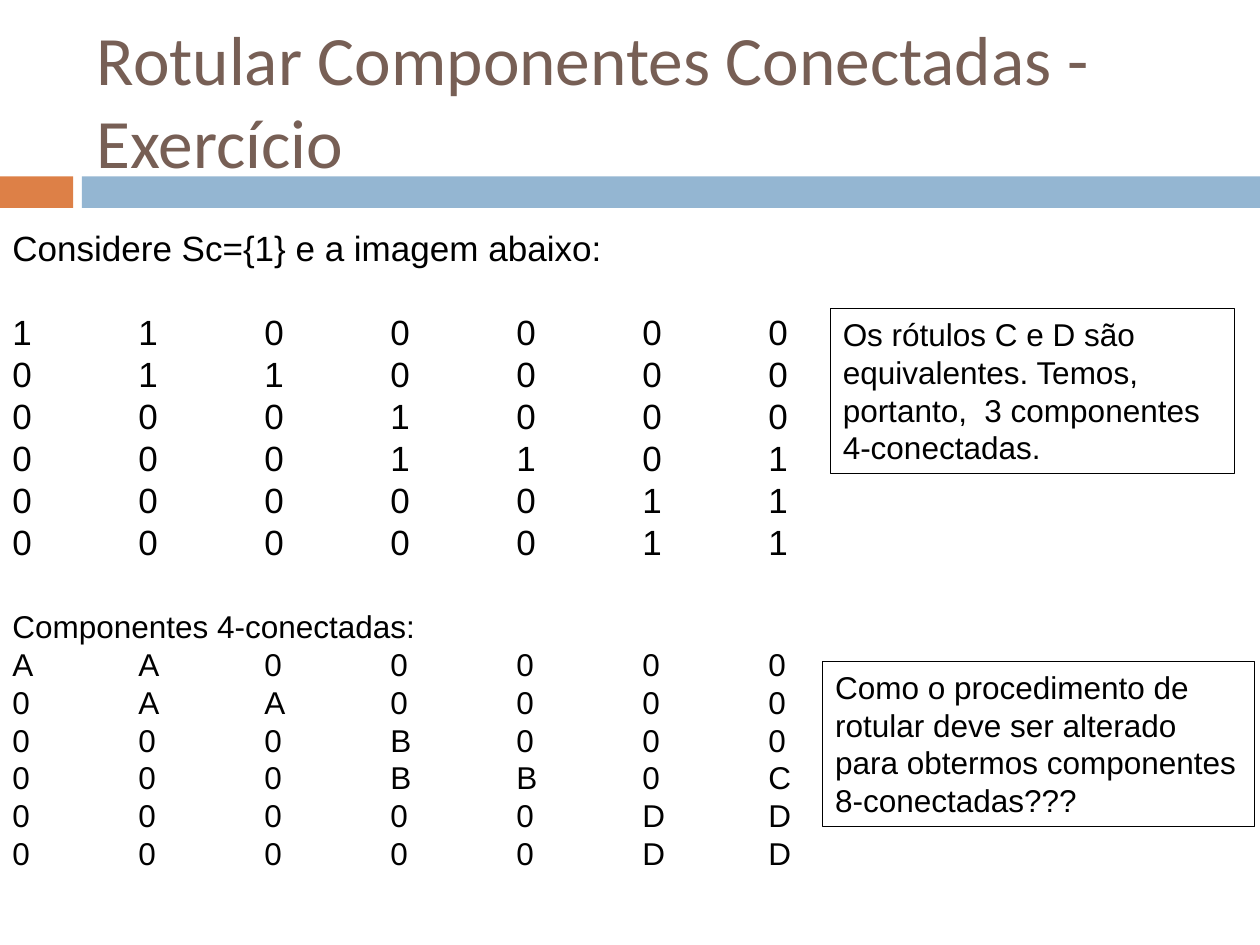
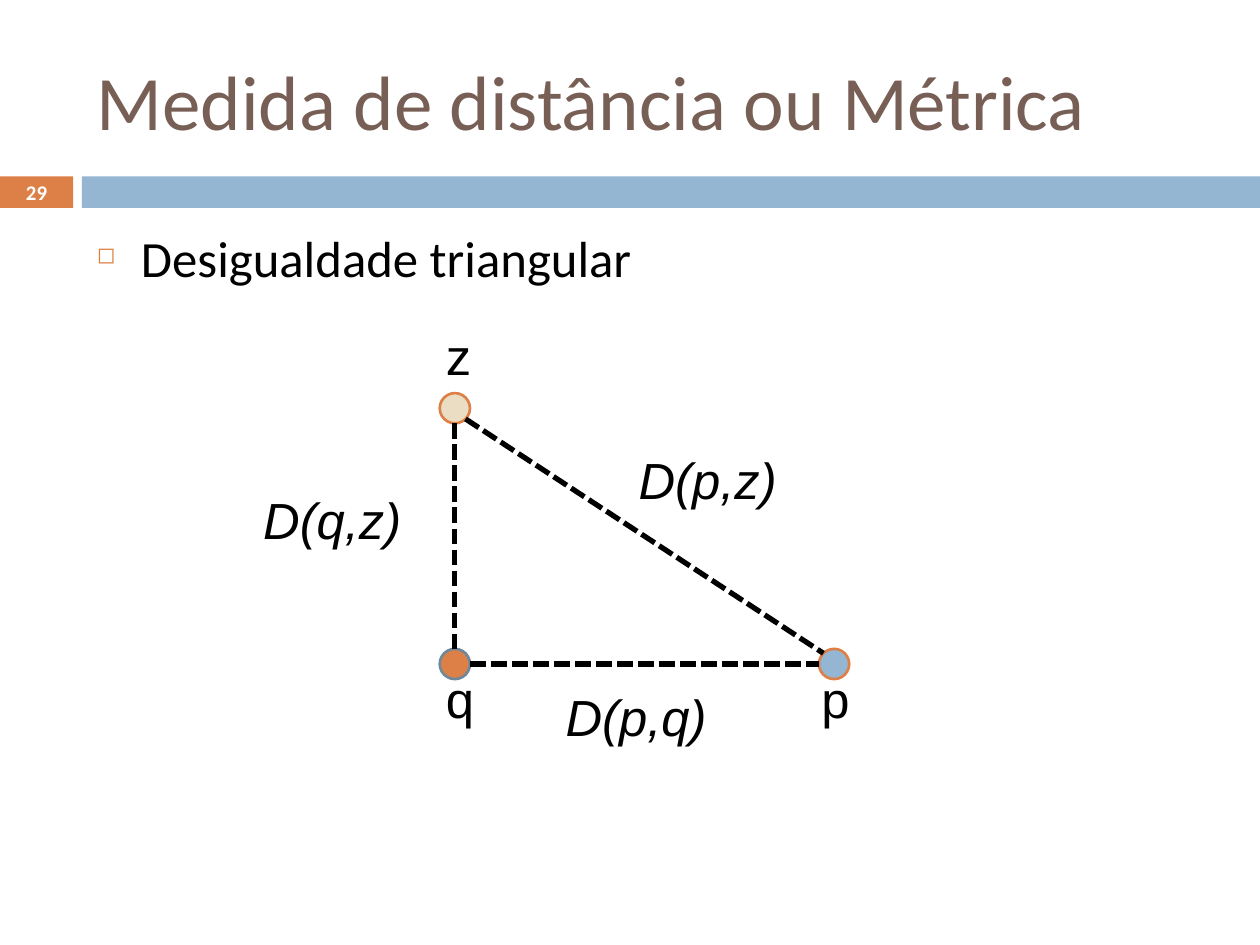
from lxml.etree import SubElement
from pptx import Presentation
from pptx.dml.color import RGBColor
from pptx.enum.dml import MSO_LINE
from pptx.enum.shapes import MSO_CONNECTOR, MSO_SHAPE
from pptx.enum.text import MSO_ANCHOR, PP_ALIGN
from pptx.oxml.ns import qn
from pptx.util import Inches, Pt

WIDTH, HEIGHT = 10, 7.5
COLORS = {"orange": "DD8047", "blue": "94B6D2", "brown": "775F55", "black": "000000",
          "white": "FFFFFF", "sand": "EBDDC3", "slate": "6D879B"}
TITLE_BOX = (0.67, 0.25, 8.92, 1.08)
BODY_BOX = (0.67, 1.75, 8.92, 4.92)
BAND_TOP, BAND_HEIGHT, TAB_WIDTH, BAND_LEFT = 1.4, 0.25, 0.58, 0.65
NODE_SIZE = 0.24
DIAGONAL = 0.71
ARIAL_LEADING = 1.2
COLUMN_WIDTH = 1

HEADINGS = {
    "exercise": ("Rotular Componentes Conectadas - Exercício", 39.6),
    "metric": ("Medida de distância ou Métrica", 44),
}
MATRICES = [
    {"heading": "Considere Sc={1} e a imagem abaixo:", "size": 20, "gap": 24,
     "box": (0, 1.75, 7.24, 3.13),
     "rows": ["1100000", "0110000", "0001000", "0001101", "0000011", "0000011"]},
    {"heading": "Componentes 4-conectadas:", "size": 18, "gap": 0,
     "box": (0, 4.77, 7.44, 2.52),
     "rows": ["AA00000", "0AA0000", "000B000", "000BB0C", "00000DD", "00000DD"]},
]
NOTES = [
    ("Os rótulos C e D são equivalentes. Temos, portanto,  3 componentes 4-conectadas.",
     (6.59, 2.45, 3.21, 1.31)),
    ("Como o procedimento de rotular deve ser alterado para obtermos componentes "
     "8-conectadas???", (6.53, 5.25, 3.43, 1.31)),
]
BULLET = "Desigualdade triangular"
PAGE_NUMBER = "29"
NODES = {
    "q": {"center": (3.61, 5.27), "fill": "orange", "line": "slate", "label": (3.44, 5.25)},
    "p": {"center": (6.62, 5.27), "fill": "blue", "line": "orange", "label": (6.42, 5.25)},
    "z": {"center": (3.61, 3.24), "fill": "sand", "line": "orange", "label": (3.44, 2.53)},
}
EDGES = [("q", "p", "D(p,q)", (4.39, 5.39)),
         ("z", "q", "D(q,z)", (1.99, 3.83)),
         ("z", "p", "D(p,z)", (4.97, 3.51))]


def rgb(name):
    return RGBColor.from_string(COLORS[name])


def inches(values):
    return [Inches(value) for value in values]


def write(shape, lines, size, font="Arial", color="black", anchor=MSO_ANCHOR.TOP,
          align=PP_ALIGN.LEFT, **extra):
    frame = shape.text_frame
    frame.word_wrap = True
    frame.vertical_anchor = anchor
    for index, line in enumerate(lines):
        paragraph = frame.paragraphs[0] if index == 0 else frame.add_paragraph()
        run = paragraph.add_run()
        run.text = line
        paragraph.alignment = align
        if font == "Arial":
            paragraph.line_spacing = Pt(round(size * ARIAL_LEADING, 1))
        for name, value in {"name": font, "size": Pt(size), **extra}.items():
            setattr(run.font, name, value)
        run.font.color.rgb = rgb(color)
    return frame


def add_text(slide, box, lines, size, **style):
    return write(slide.shapes.add_textbox(*inches(box)), lines, size, **style)


def add_preset(slide, kind, box, fill=None, line=None, weight=0.75):
    shape = slide.shapes.add_shape(kind, *inches(box))
    shape.shadow.inherit = False
    if fill:
        shape.fill.solid()
        shape.fill.fore_color.rgb = rgb(fill)
    else:
        shape.fill.background()
    if line:
        shape.line.color.rgb = rgb(line)
        shape.line.width = Pt(weight)
    else:
        shape.line.fill.background()
    return shape


def start_slide(presentation, heading):
    slide = presentation.slides.add_slide(presentation.slide_layouts[6])
    for left, width, fill in [(0, TAB_WIDTH, "orange"),
                              (BAND_LEFT, WIDTH - BAND_LEFT, "blue")]:
        add_preset(slide, MSO_SHAPE.RECTANGLE, (left, BAND_TOP, width, BAND_HEIGHT), fill)
    title, size = HEADINGS[heading]
    add_text(slide, TITLE_BOX, [title], size, font="Calibri", color="brown",
             anchor=MSO_ANCHOR.MIDDLE)
    return slide


def add_bullet(paragraph):
    properties = paragraph._p.get_or_add_pPr()
    properties.set("marL", str(Inches(0.35)))
    properties.set("indent", str(-Inches(0.35)))
    color = SubElement(properties, qn("a:buClr"))
    SubElement(color, qn("a:srgbClr"), val=COLORS["orange"])
    SubElement(properties, qn("a:buSzPct"), val="45000")
    SubElement(properties, qn("a:buChar"), char="◻")


def add_column_stops(paragraph, columns):
    stops = SubElement(paragraph._p.get_or_add_pPr(), qn("a:tabLst"))
    for column in range(1, columns):
        SubElement(stops, qn("a:tab"), pos=str(Inches(column * COLUMN_WIDTH)), algn="l")


def rim_point(center, target):
    signs = [(end > start) - (end < start) for start, end in zip(center, target)]
    reach = NODE_SIZE / 2 * (DIAGONAL if all(signs) else 1)
    return [value + sign * reach for value, sign in zip(center, signs)]


def add_edge(slide, start, end):
    points = rim_point(start, end) + rim_point(end, start)
    connector = slide.shapes.add_connector(MSO_CONNECTOR.STRAIGHT, *inches(points))
    connector.line.color.rgb = rgb("black")
    connector.line.width = Pt(3)
    connector.line.dash_style = MSO_LINE.SQUARE_DOT
    SubElement(connector._element.spPr, qn("a:effectLst"))


def build_exercise(presentation):
    slide = start_slide(presentation, "exercise")
    for matrix in MATRICES:
        rows = matrix["rows"]
        lines = [matrix["heading"]] + ["\t".join(row) for row in rows]
        frame = add_text(slide, matrix["box"], lines, matrix["size"])
        frame.paragraphs[1].space_before = Pt(matrix["gap"])
        for paragraph, row in zip(frame.paragraphs[1:], rows):
            add_column_stops(paragraph, len(row))
    for text, box in NOTES:
        note = add_preset(slide, MSO_SHAPE.RECTANGLE, box, line="black")
        write(note, [text], 18)


def build_metric(presentation):
    slide = start_slide(presentation, "metric")
    body = add_text(slide, BODY_BOX, [BULLET], 29, font="Calibri")
    add_bullet(body.paragraphs[0])
    for name, node in NODES.items():
        left, top = [value - NODE_SIZE / 2 for value in node["center"]]
        add_preset(slide, MSO_SHAPE.OVAL, (left, top, NODE_SIZE, NODE_SIZE),
                   node["fill"], node["line"], 1.5)
        add_text(slide, (*node["label"], 0.54, 0.59), [name], 29)
    for start, end, label, corner in EDGES:
        add_edge(slide, NODES[start]["center"], NODES[end]["center"])
        add_text(slide, (*corner, 1.5, 0.59), [label], 29, italic=True)
    add_text(slide, (0, BAND_TOP - 0.01, TAB_WIDTH, 0.27), [PAGE_NUMBER], 11.9,
             font="Calibri", color="white", anchor=MSO_ANCHOR.MIDDLE,
             align=PP_ALIGN.CENTER, bold=True)


def main():
    """Build the two slides on labelling and distance."""
    presentation = Presentation()
    presentation.slide_width, presentation.slide_height = inches((WIDTH, HEIGHT))
    build_exercise(presentation)
    build_metric(presentation)
    presentation.save("out.pptx")


if __name__ == "__main__":
    main()
